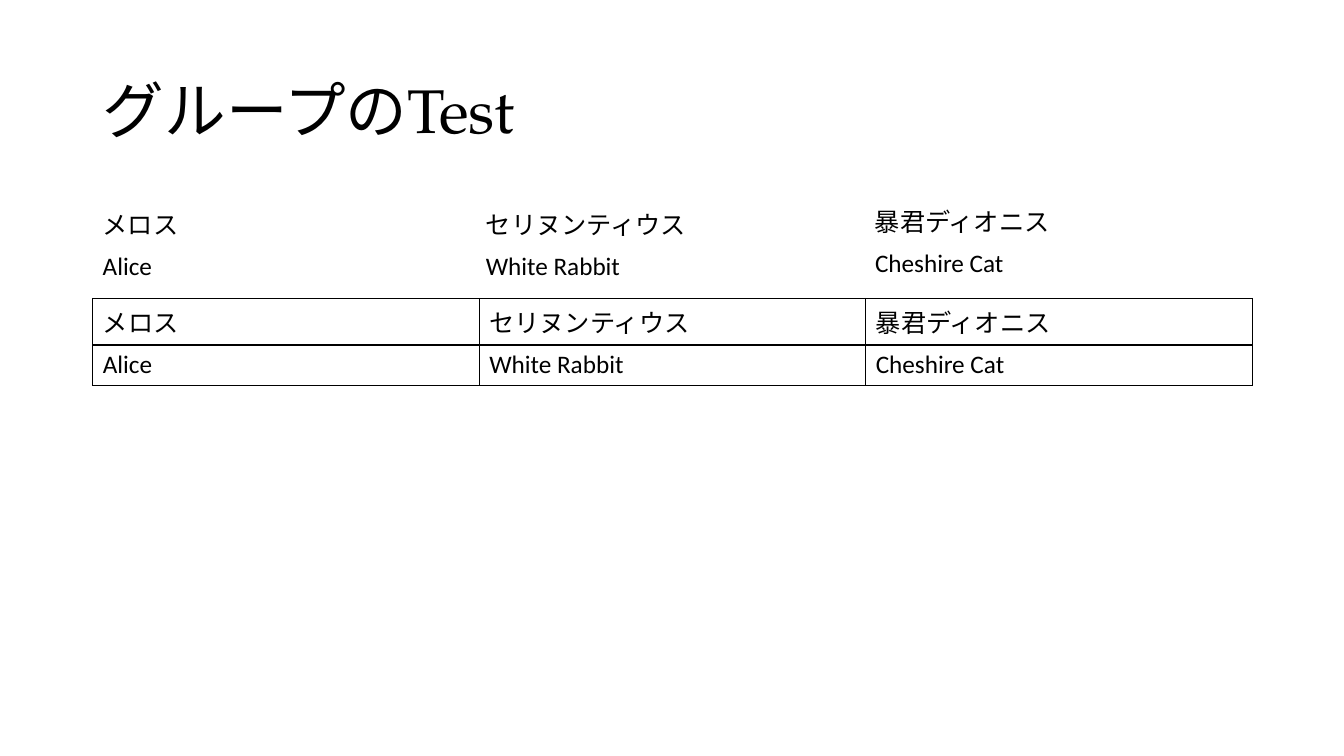
from lxml import etree
from pptx import Presentation
from pptx.dml.color import RGBColor
from pptx.enum import text
from pptx.oxml import ns
from pptx.util import Inches, Pt

BLACK = RGBColor(0, 0, 0)
LATIN = "Calibri"
JAPANESE = "Noto Sans CJK JP"
LEFT = 0.92
COLUMNS = [
    (LEFT, 2.03, ("メロス", "Alice"), (0.96, 0.69)),
    (4.72, 2.03, ("セリヌンティウス", "White Rabbit"), (2.22, 1.53)),
    (8.58, 2.0, ("暴君ディオニス", "Cheshire Cat"), (1.97, 1.48)),
]


def write(frame, words, size=18, latin=LATIN):
    para = frame.paragraphs[0]
    para.text = words
    para.alignment = text.PP_ALIGN.LEFT
    para.font.size = Pt(size)
    para.font.color.rgb = BLACK
    para.font.name = latin
    properties = para._p.pPr.find(ns.qn("a:defRPr"))
    etree.SubElement(properties, ns.qn("a:ea"), typeface=JAPANESE)


def add_borders(cell):
    properties = cell._tc.get_or_add_tcPr()
    for index, side in enumerate(("lnL", "lnR", "lnT", "lnB")):
        line = etree.Element(ns.qn("a:" + side), w=str(Pt(1)))
        fill = etree.SubElement(line, ns.qn("a:solidFill"))
        etree.SubElement(fill, ns.qn("a:srgbClr"), val=str(BLACK))
        properties.insert(index, line)


deck = Presentation()
deck.slide_width = Inches(13.33)
deck.slide_height = Inches(7.5)
page = deck.slides.add_slide(deck.slide_layouts[5])

title = page.shapes.title
title.left, title.top = Inches(LEFT), Inches(0.4)
title.width, title.height = Inches(11.5), Inches(1.45)
title.text_frame.vertical_anchor = text.MSO_ANCHOR.MIDDLE
write(title.text_frame, "グループのTest", 44, "TeX Gyre Pagella")
title.text_frame.paragraphs[0].line_spacing = 0.9

table = page.shapes.add_table(
    2, 3, Inches(LEFT), Inches(2.96), Inches(11.5), Inches(0.81)
).table
table.first_row = False
table.horz_banding = False

for column, (left, top, names, widths) in enumerate(COLUMNS):
    for row, (name, width) in enumerate(zip(names, widths)):
        cell = table.cell(row, column)
        cell.fill.background()
        add_borders(cell)
        write(cell.text_frame, name)

        box = page.shapes.add_textbox(
            Inches(left), Inches(top + 0.4 * row), Inches(width), Inches(0.4)
        )
        box.text_frame.word_wrap = False
        box.text_frame.auto_size = text.MSO_AUTO_SIZE.SHAPE_TO_FIT_TEXT
        write(box.text_frame, name)

deck.save("out.pptx")
